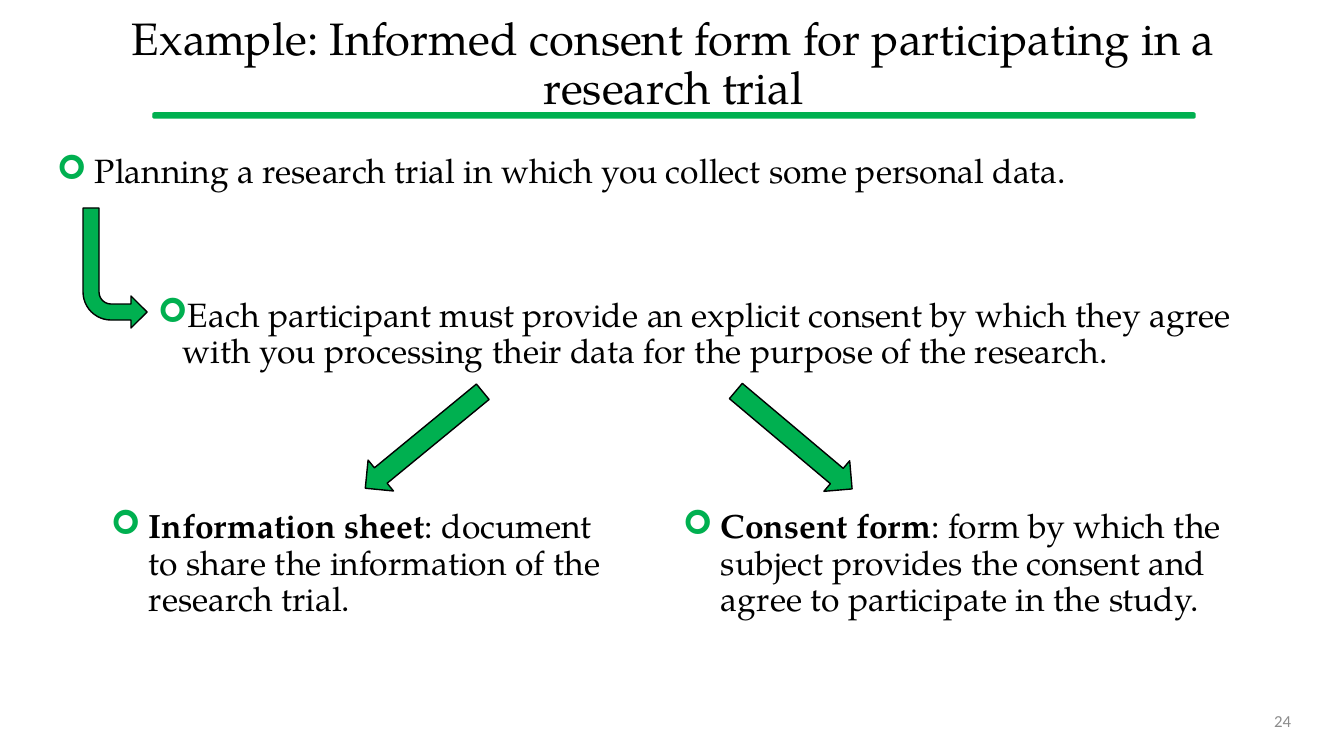
import pptx
import pptx.util
import pptx.dml.color
import pptx.enum.shapes
import pptx.enum.text
import pptx.oxml.ns
import lxml.etree

PX = 914400 / 100.8
COLORS = {"ink": "000000", "accent": "00B050", "muted": "8C8C8C"}
SERIF, SANS = "TeX Gyre Pagella", "Calibri"
ALIGN = pptx.enum.text.PP_ALIGN
SHAPE = pptx.enum.shapes.MSO_SHAPE

heading = {
    "box": (47, 18, 1253, 95),
    "runs": [("Example: Informed consent form for participating in a research trial", False)],
    "size": 32.4, "align": ALIGN.CENTER, "middle": True,
}
page_number = {
    "box": (950, 701, 351, 40), "runs": [("24", False)],
    "size": 12, "align": ALIGN.RIGHT, "middle": True,
    "font": SANS, "color": "muted", "spacing": 1.0,
}
steps = [
    {"box": (47, 150, 1240, 48), "hang": 38, "runs": [
        ("Planning a research trial in which you collect some personal data.", False)]},
    {"box": (148, 293, 1139, 84), "hang": 25, "runs": [
        ("Each participant must provide an explicit consent by which they agree "
         "with you processing their data for the purpose of the research.", False)]},
    {"box": (101, 505, 519, 120), "hang": 38, "runs": [
        ("Information sheet", True),
        (": document to share the information of the research trial.", False)]},
    {"box": (673, 505, 580, 120), "hang": 38, "runs": [
        ("Consent form", True),
        (": form by which the subject provides the consent and agree to "
         "participate in the study.", False)]},
]
title_rule = {"kind": SHAPE.ROUNDED_RECTANGLE, "box": (153, 113, 1042, 5),
              "line": "accent", "corner": 0.26}
arrows = [
    {"kind": SHAPE.BENT_ARROW, "box": (83, 208, 64, 120), "turn": 180, "mirrored": True},
    {"kind": SHAPE.RIGHT_ARROW, "box": (348, 420, 152, 40), "turn": 140.6},
    {"kind": SHAPE.RIGHT_ARROW, "box": (718, 420, 152, 40), "turn": 40.1},
]


def px(length):
    return round(length * PX)


def rgb(name):
    return pptx.dml.color.RGBColor.from_string(COLORS[name])


def add_bullet(paragraph, hang):
    properties = paragraph._p.get_or_add_pPr()
    properties.set("marL", str(px(hang)))
    properties.set("indent", str(-px(hang)))
    qn = pptx.oxml.ns.qn
    tint = lxml.etree.SubElement(properties, qn("a:buClr"))
    lxml.etree.SubElement(tint, qn("a:srgbClr"), val=COLORS["accent"])
    lxml.etree.SubElement(properties, qn("a:buFont"), typeface="Wingdings")
    lxml.etree.SubElement(properties, qn("a:buChar"), char="➢")


def add_text(slide, item):
    frame = slide.shapes.add_textbox(*map(px, item["box"])).text_frame
    frame.word_wrap = True
    if item.get("middle"):
        frame.vertical_anchor = pptx.enum.text.MSO_ANCHOR.MIDDLE
    paragraph = frame.paragraphs[0]
    paragraph.alignment = item.get("align", ALIGN.LEFT)
    paragraph.line_spacing = item.get("spacing", 0.9)
    if "hang" in item:
        add_bullet(paragraph, item["hang"])
    for words, bold in item["runs"]:
        run = paragraph.add_run()
        run.text = words
        style = {"name": item.get("font", SERIF), "bold": bold,
                 "size": pptx.util.Pt(item.get("size", 24))}
        for attribute, value in style.items():
            setattr(run.font, attribute, value)
        run.font.color.rgb = rgb(item.get("color", "ink"))


def add_green_shape(slide, item):
    shape = slide.shapes.add_shape(item["kind"], *map(px, item["box"]))
    shape.shadow.inherit = False
    shape.fill.solid()
    shape.fill.fore_color.rgb = rgb("accent")
    shape.line.color.rgb = rgb(item.get("line", "ink"))
    shape.line.width = pptx.util.Pt(1)
    shape.rotation = item.get("turn", 0)
    if "corner" in item:
        shape.adjustments[0] = item["corner"]
    if item.get("mirrored"):
        shape.element.spPr.find(pptx.oxml.ns.qn("a:xfrm")).set("flipH", "1")


def main():
    deck = pptx.Presentation()
    deck.slide_width, deck.slide_height = px(1344), px(756)
    slide = deck.slides.add_slide(deck.slide_layouts[6])
    add_green_shape(slide, title_rule)
    for item in [heading, *steps, page_number]:
        add_text(slide, item)
    for arrow in arrows:
        add_green_shape(slide, arrow)
    deck.save("out.pptx")


if __name__ == "__main__":
    main()
